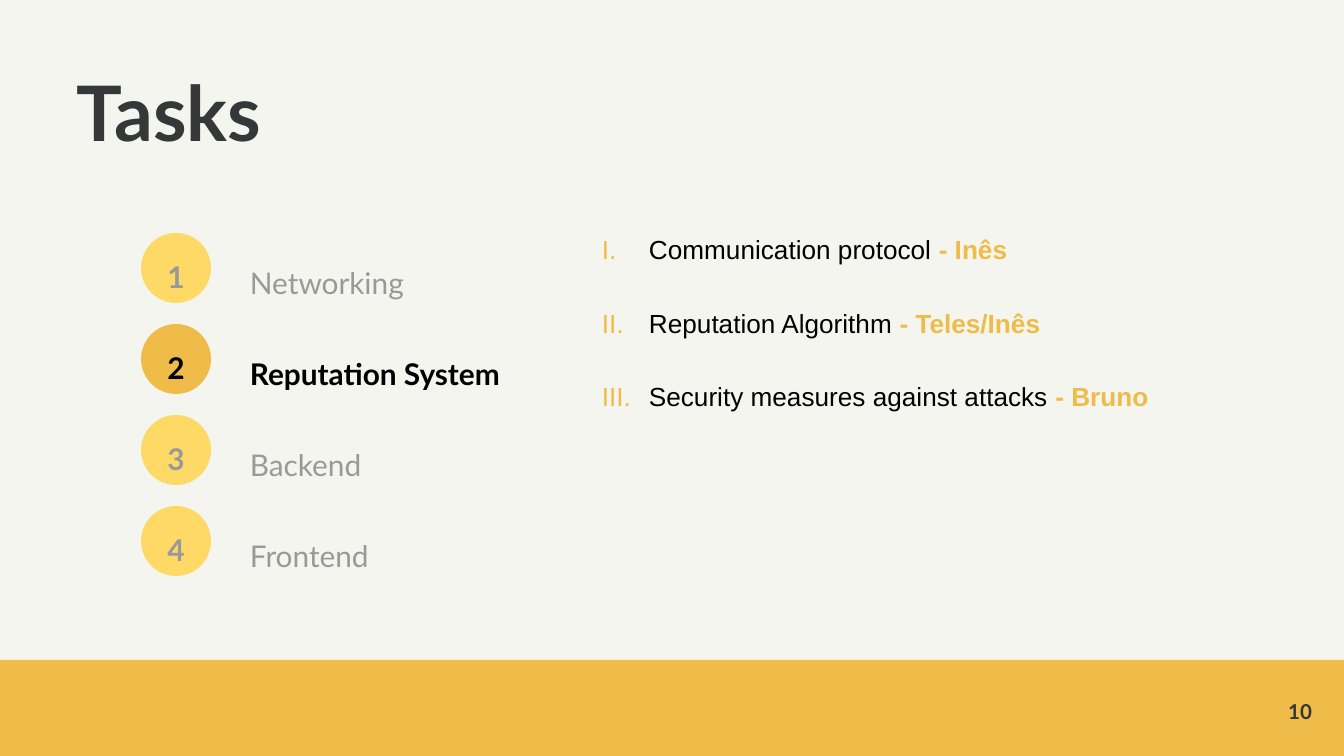
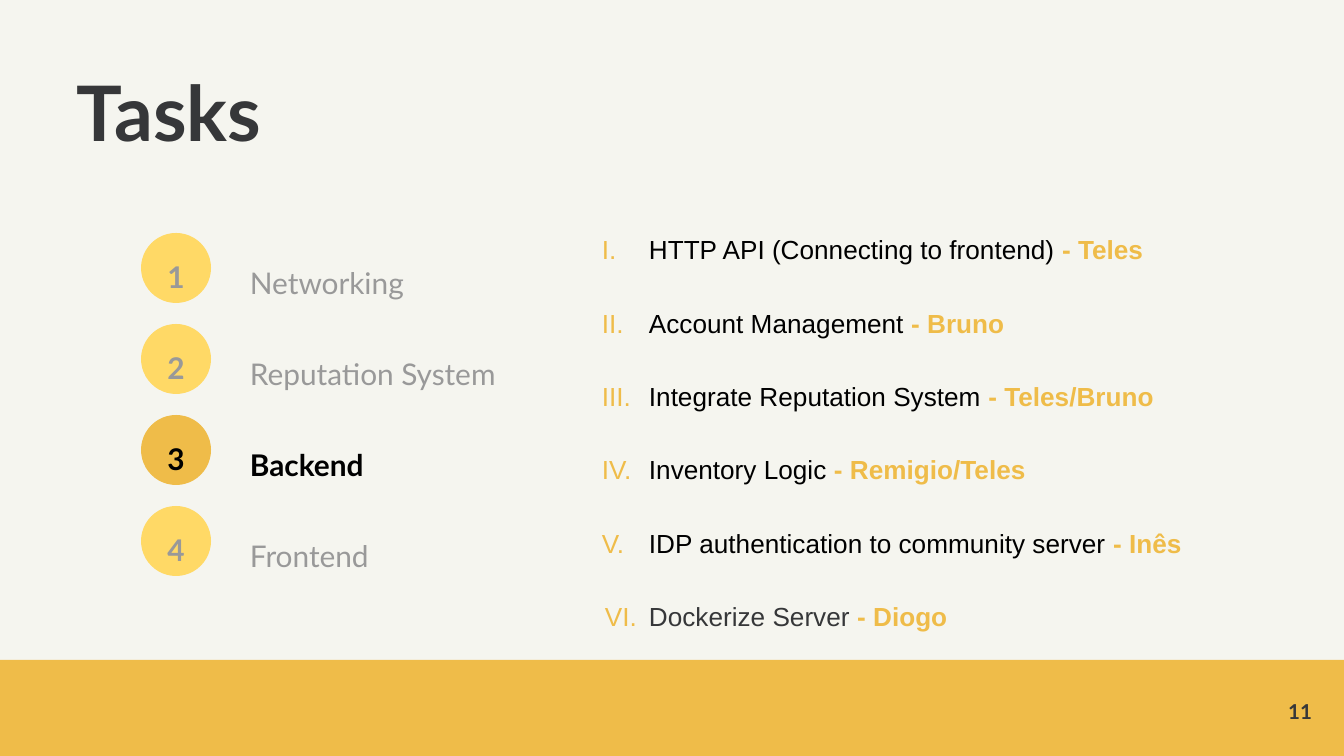
"""Build two task slides that share a numbered menu and a footer band."""
from lxml import etree
from pptx import Presentation
from pptx import util as u
from pptx.dml.color import RGBColor
from pptx.enum import shapes, text
from pptx.oxml.ns import qn

PAPER, INK, BLACK, GREY = "F5F5EF", "363739", "000000", "999999"
GOLD, PALE = "EFBC49", "FFD966"
ALIGN = text.PP_ALIGN
MENU = ["Networking", "Reputation System", "Backend", "Frontend"]
SLIDES = [
    (10, "Reputation System", 240, [
        ("Communication protocol", "Inês"),
        ("Reputation Algorithm", "Teles/Inês"),
        ("Security measures against attacks", "Bruno"),
    ]),
    (11, "Backend", 460, [
        ("HTTP API (Connecting to frontend)", "Teles"),
        ("Account Management", "Bruno"),
        ("Integrate Reputation System", "Teles/Bruno"),
        ("Inventory Logic", "Remigio/Teles"),
        ("IDP authentication to community server", "Inês"),
        ("Dockerize Server", "Diogo"),
    ]),
]


def px(*lengths):
    return [u.Emu(round(n * 914400 / 134.4)) for n in lengths]


def add_text(s, box, words, size, color, bold=True, align=ALIGN.LEFT, spacing=1.0):
    tf = s.shapes.add_textbox(*px(*box)).text_frame
    tf.word_wrap = True
    tf.margin_left = tf.margin_top = tf.margin_right = tf.margin_bottom = 0
    tf.text = words
    p = tf.paragraphs[0]
    p.alignment, p.line_spacing = align, spacing
    font = p.runs[0].font
    font.name, font.size, font.bold = "Lato", u.Pt(size), bold
    font.color.rgb = RGBColor.from_string(color)
    return tf


prs = Presentation()
prs.slide_width, prs.slide_height = px(1344, 756)

for number, current, list_height, tasks in SLIDES:
    s = prs.slides.add_slide(prs.slide_layouts[6])
    s.background.fill.solid()
    s.background.fill.fore_color.rgb = RGBColor.from_string(PAPER)
    add_text(s, (77, 75, 953, 106), "Tasks", 41, INK, spacing=0.9)

    parts = [(shapes.MSO_SHAPE.RECTANGLE, (0, 660, 1344, 96), GOLD)]
    for i, name in enumerate(MENU):
        fill = GOLD if name == current else PALE
        parts.append((shapes.MSO_SHAPE.OVAL, (141, 233 + 91 * i, 70, 70), fill))
    for kind, box, fill in parts:
        sp = s.shapes.add_shape(kind, *px(*box))
        sp.shadow.inherit = False
        sp.fill.solid()
        sp.fill.fore_color.rgb = RGBColor.from_string(fill)
        sp.line.fill.background()

    for i, name in enumerate(MENU):
        active = name == current
        color = BLACK if active else GREY
        top = 250 + 91 * i
        add_text(s, (148, top, 56, 36), str(i + 1), 16, color,
                 align=ALIGN.CENTER, spacing=1.25)
        width = 356 if name == "Reputation System" else 156
        add_text(s, (250, top, width, 36), name, 16, color, active, spacing=1.4)

    tf = s.shapes.add_textbox(*px(569, 216, 699, list_height)).text_frame
    tf.word_wrap = True
    tf.margin_left, tf.margin_top, tf.margin_right, tf.margin_bottom = px(13, 13, 13, 13)
    for i, (task, owner) in enumerate(tasks):
        p = tf.paragraphs[0] if i == 0 else tf.add_paragraph()
        last = task == "Dockerize Server"
        margin, indent = px(67, -44 if last else -47)
        pPr = p._p.get_or_add_pPr()
        pPr.set("marL", str(margin))
        pPr.set("indent", str(indent))
        tint = etree.SubElement(pPr, qn("a:buClr"))
        etree.SubElement(tint, qn("a:srgbClr"), val=GOLD)
        etree.SubElement(pPr, qn("a:buFont"), typeface="Arial")
        etree.SubElement(pPr, qn("a:buAutoNum"), type="romanUcPeriod")
        p.line_spacing = 1.15
        if i:
            p.space_before = u.Pt(20)
        for words, color, bold in ((task + " ", INK if last else BLACK, False),
                                   ("- " + owner, GOLD, True)):
            r = p.add_run()
            r.text = words
            r.font.name, r.font.size, r.font.bold = "Arial", u.Pt(14), bold
            r.font.color.rgb = RGBColor.from_string(color)

    tf = add_text(s, (1231, 698, 81, 27), str(number), 11, INK, align=ALIGN.RIGHT)
    tf.vertical_anchor = text.MSO_ANCHOR.MIDDLE

prs.save("out.pptx")
